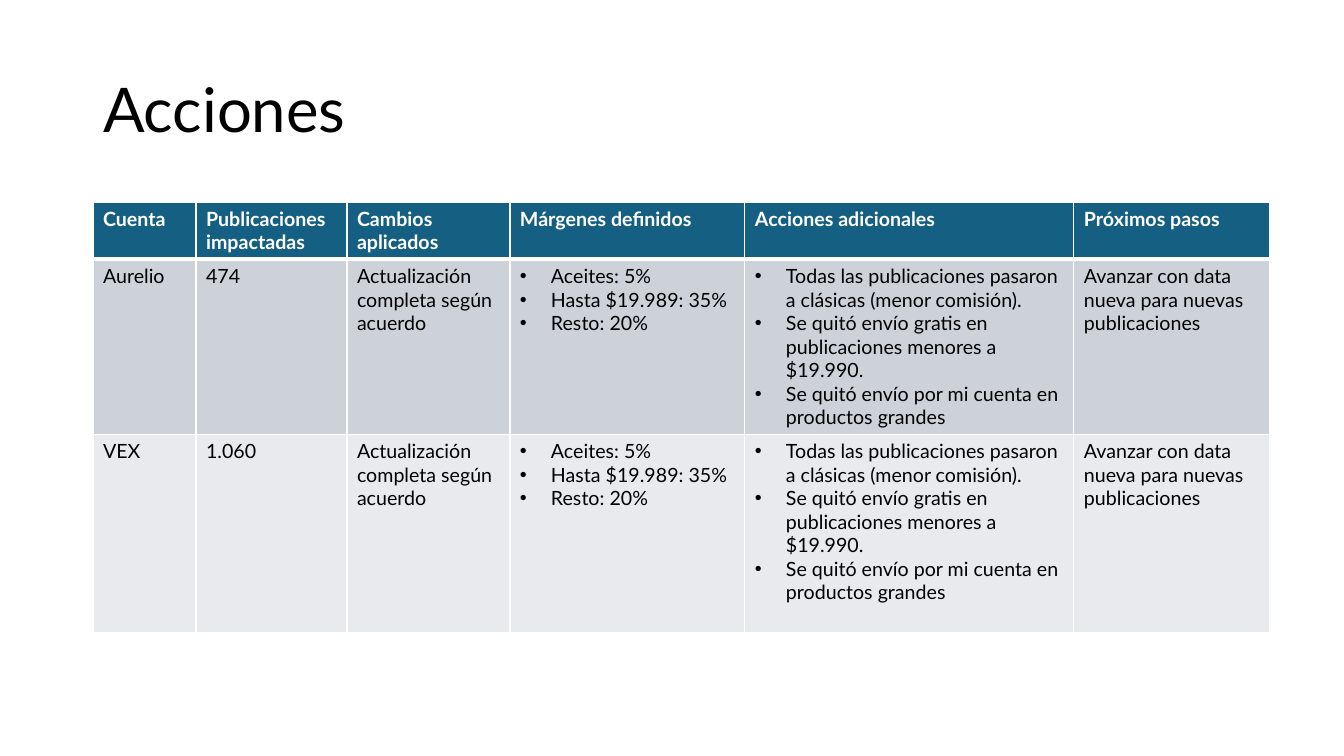
from dataclasses import dataclass

from lxml import etree
from pptx import Presentation
from pptx.dml.color import RGBColor
from pptx.enum import text
from pptx.oxml import ns
from pptx import util as u

EMU_PER_PX = 12192000 / 1344


@dataclass(frozen=True)
class Theme:
    font: str = "Lato"
    title_size: int = 44
    table_size: int = 14
    ink: str = "000000"
    white: str = "FFFFFF"
    header: str = "156082"
    bands: tuple = ("CCD2D8", "E8EAED")
    rule: int = 1
    header_rule: int = 3


THEME = Theme()

COLUMN_WIDTHS = (103, 151, 163, 235, 329, 196)
ROW_HEIGHTS = (57, 175, 198)
HEADINGS = ("Cuenta", "Publicaciones impactadas", "Cambios aplicados",
            "Márgenes definidos", "Acciones adicionales", "Próximos pasos")
MARGINS = ["Aceites: 5%", "Hasta $19.989: 35%", "Resto: 20%"]
EXTRA_ACTIONS = [
    "Todas las publicaciones pasaron a clásicas (menor comisión).",
    "Se quitó envío gratis en publicaciones menores a $19.990.",
    "Se quitó envío por mi cuenta en productos grandes",
]
ACCOUNTS = (("Aurelio", "474"), ("VEX", "1.060"))


def px(length):
    return u.Emu(round(length * EMU_PER_PX))


def add_bullet(para, indent=31):
    properties = para._p.get_or_add_pPr()
    properties.set("marL", str(px(indent)))
    properties.set("indent", str(-px(indent)))
    etree.SubElement(properties, ns.qn("a:buFont"), typeface="Arial")
    etree.SubElement(properties, ns.qn("a:buChar"), char="•")


def write(para, words, size, color, bold=False, bullet=False, line_spacing=None):
    if bullet:
        add_bullet(para)
    para.alignment = text.PP_ALIGN.LEFT
    if line_spacing:
        para.line_spacing = line_spacing
    span = para.add_run()
    span.text = words
    span.font.name = THEME.font
    span.font.size = u.Pt(size)
    span.font.bold = bold
    span.font.color.rgb = RGBColor.from_string(color)


def set_borders(cell, top, bottom):
    properties = cell._tc.get_or_add_tcPr()
    widths = (("L", THEME.rule), ("R", THEME.rule), ("T", top), ("B", bottom))
    for position, (side, width) in enumerate(widths):
        line = etree.Element(ns.qn(f"a:ln{side}"), w=str(u.Pt(width)))
        fill = etree.SubElement(line, ns.qn("a:solidFill"))
        etree.SubElement(fill, ns.qn("a:srgbClr"), val=THEME.white)
        properties.insert(position, line)


def fill_cell(cell, content, fill, color, bold, top, bottom):
    cell.fill.solid()
    cell.fill.fore_color.rgb = RGBColor.from_string(fill)
    set_borders(cell, top, bottom)
    bulleted = isinstance(content, list)
    frame = cell.text_frame
    for index, words in enumerate(content if bulleted else [content]):
        para = frame.add_paragraph() if index else frame.paragraphs[0]
        write(para, words, THEME.table_size, color, bold=bold, bullet=bulleted)


def place_title(page, left, top, width, height):
    title = page.shapes.title
    title.left, title.top = px(left), px(top)
    title.width, title.height = px(width), px(height)
    frame = title.text_frame
    frame.word_wrap = True
    frame.auto_size = text.MSO_AUTO_SIZE.NONE
    frame.vertical_anchor = text.MSO_ANCHOR.MIDDLE
    write(frame.paragraphs[0], "Acciones", THEME.title_size, THEME.ink, line_spacing=0.9)


def place_actions_table(page, left, top):
    rows = [HEADINGS] + [
        (account, count, "Actualización completa según acuerdo", MARGINS,
         EXTRA_ACTIONS, "Avanzar con data nueva para nuevas publicaciones")
        for account, count in ACCOUNTS
    ]
    table = page.shapes.add_table(
        len(rows), len(HEADINGS), px(left), px(top),
        px(sum(COLUMN_WIDTHS)), px(sum(ROW_HEIGHTS))).table
    for column, width in zip(table.columns, COLUMN_WIDTHS):
        column.width = px(width)
    for index, (row, height, contents) in enumerate(zip(table.rows, ROW_HEIGHTS, rows)):
        row.height = px(height)
        is_header = index == 0
        for cell, content in zip(row.cells, contents):
            fill_cell(
                cell, content,
                fill=THEME.header if is_header else THEME.bands[index - 1],
                color=THEME.white if is_header else THEME.ink,
                bold=is_header,
                top=THEME.header_rule if index == 1 else THEME.rule,
                bottom=THEME.header_rule if is_header else THEME.rule)


def main():
    deck = Presentation()
    deck.slide_width, deck.slide_height = px(1344), px(756)
    page = deck.slides.add_slide(deck.slide_layouts[5])
    # Heading
    place_title(page, 93, 40, 1159, 146)
    # Actions by account
    place_actions_table(page, 93, 202)
    deck.save("out.pptx")


if __name__ == "__main__":
    main()
